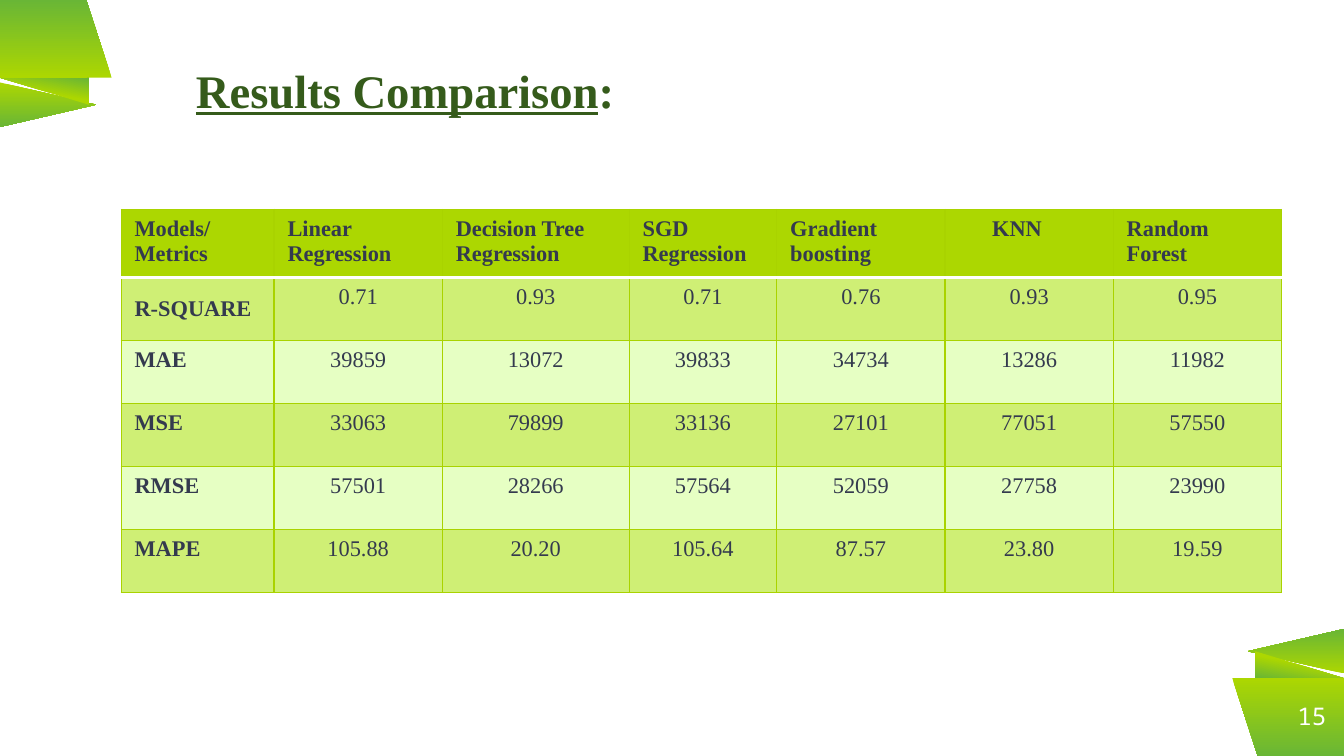
from dataclasses import dataclass

from lxml.etree import SubElement
from pptx import Presentation
from pptx.dml.color import RGBColor
from pptx.enum.shapes import MSO_SHAPE as Shape
from pptx.enum.text import MSO_ANCHOR as Anchor, PP_ALIGN as Align
from pptx.oxml.ns import qn
from pptx.util import Cm, Pt


@dataclass(frozen=True)
class Theme:
    lime: str = "ACD701"
    leaf: str = "69B636"
    heading: str = "355B1B"
    ink: str = "343A4E"
    white: str = "FFFFFF"
    grid: str = "A9D300"
    band_dark: str = "CFEF75"
    band_light: str = "E6FFC3"
    serif: str = "Times New Roman"
    mono: str = "Noto Sans Mono"
    title_size: int = 25
    number_size: int = 13
    cell_size: int = 12


THEME = Theme()
SLIDE_W, SLIDE_H = 25.4, 14.29
TABLE_TOP = 3.96
ROW_HEIGHTS = [1.29] + [1.19] * 5
METRICS_COLUMN = [2.89]
MODEL_COLUMNS = [3.18, 3.53, 2.79, 3.18, 3.18, 3.18]

METRICS = [["Models/\nMetrics"], ["R-SQUARE"], ["MAE"], ["MSE"], ["RMSE"], ["MAPE"]]
RESULTS = [
    ["Linear Regression", "Decision Tree Regression", "SGD Regression",
     "Gradient boosting", "KNN", "Random Forest"],
    ["0.71", "0.93", "0.71", "0.76", "0.93", "0.95"],
    ["39859", "13072", "39833", "34734", "13286", "11982"],
    ["33063", "79899", "33136", "27101", "77051", "57550"],
    ["57501", "28266", "57564", "52059", "27758", "23990"],
    ["105.88", "20.20", "105.64", "87.57", "23.80", "19.59"],
]

# Top-left ribbon: shape, left, top, width, height, rotation, gradient angle, lime stop
RIBBON = [
    (Shape.ISOSCELES_TRIANGLE, 0.49, 1.07, 0.84, 1.82, 90, 0, 0),
    (Shape.RIGHT_TRIANGLE, 0, 1.47, 1.68, 0.51, 180, 260, 0.47),
    (Shape.RECTANGLE, 0, 0, 1.65, 1.47, 0, 90, 0),
    (Shape.RIGHT_TRIANGLE, 1.63, 0, 0.48, 1.47, 0, 90, 0),
]


def add_text(paragraph, text, *, size, color, font=THEME.serif, bold=False,
             underline=False, align=Align.LEFT):
    paragraph.alignment = align
    run = paragraph.add_run()
    run.text = text
    run.font.size = Pt(size)
    run.font.name = font
    run.font.bold = bold
    run.font.underline = underline
    run.font.color.rgb = RGBColor.from_string(color)


def add_ribbon(slide, opposite=False):
    """Draw the corner ribbon, or its half-turn in the opposite corner."""
    for kind, left, top, width, height, rotation, angle, lime_stop in RIBBON:
        if opposite:
            left, top = SLIDE_W - left - width, SLIDE_H - top - height
            rotation = (rotation + 180) % 360
        fold = slide.shapes.add_shape(kind, Cm(left), Cm(top), Cm(width), Cm(height))
        fold.rotation = rotation
        fold.shadow.inherit = False
        fold.line.fill.background()
        fold.fill.gradient()
        fold.fill.gradient_angle = angle
        start, end = fold.fill.gradient_stops
        start.color.rgb = RGBColor.from_string(THEME.lime)
        start.position = lime_stop
        end.color.rgb = RGBColor.from_string(THEME.leaf)


def add_title(slide):
    title = slide.shapes.title
    title.left, title.top, title.width, title.height = Cm(3.45), Cm(1.04), Cm(17.75), Cm(5.44)
    title.text_frame.vertical_anchor = Anchor.TOP
    heading = title.text_frame.paragraphs[0]
    heading.space_before = Pt(6)
    for text, underline in (("Results Comparison", True), (":", False)):
        add_text(heading, text, size=THEME.title_size, color=THEME.heading,
                 bold=True, underline=underline)


def add_page_number(slide, number):
    box = slide.shapes.add_textbox(Cm(23.72), Cm(12.8), Cm(1.35), Cm(1.47))
    frame = box.text_frame
    frame.word_wrap = True
    frame.vertical_anchor = Anchor.MIDDLE
    frame.margin_left = frame.margin_right = frame.margin_top = frame.margin_bottom = 0
    add_text(frame.paragraphs[0], number, size=THEME.number_size, color=THEME.white,
             font=THEME.mono, align=Align.RIGHT)


def set_borders(cell, row):
    """Lime grid with a thick white rule below the header."""
    thin, rule = (THEME.grid, 0.75), (THEME.white, 2)
    sides = {"L": thin, "R": thin,
             "T": rule if row == 1 else thin,
             "B": rule if row == 0 else thin}
    properties = cell._tc.get_or_add_tcPr()
    for side, (color, width) in sides.items():
        line = SubElement(properties, qn(f"a:ln{side}"), w=str(int(Pt(width))))
        fill = SubElement(line, qn("a:solidFill"))
        SubElement(fill, qn("a:srgbClr"), val=color)


def fill_cell(cell, text, row, bold, align):
    set_borders(cell, row)
    band = THEME.band_dark if row % 2 else THEME.band_light
    cell.fill.solid()
    cell.fill.fore_color.rgb = RGBColor.from_string(THEME.lime if row == 0 else band)
    frame = cell.text_frame
    for index, line in enumerate(text.split("\n")):
        paragraph = frame.add_paragraph() if index else frame.paragraphs[0]
        add_text(paragraph, line, size=THEME.cell_size, color=THEME.ink,
                 bold=bold, align=align)


def add_grid(slide, rows, left, columns, bold_body, body_align):
    table = slide.shapes.add_table(
        len(rows), len(columns), Cm(left), Cm(TABLE_TOP),
        Cm(sum(columns)), Cm(sum(ROW_HEIGHTS))).table
    for column, width in zip(table.columns, columns):
        column.width = Cm(width)
    for table_row, height in zip(table.rows, ROW_HEIGHTS):
        table_row.height = Cm(height)
    for r, texts in enumerate(rows):
        for c, text in enumerate(texts):
            header = r == 0
            fill_cell(table.cell(r, c), text, r, header or bold_body,
                      Align.LEFT if header else body_align)
    return table


def main():
    deck = Presentation()
    deck.slide_width, deck.slide_height = Cm(SLIDE_W), Cm(SLIDE_H)
    slide = deck.slides.add_slide(deck.slide_layouts[5])

    # Corner ribbons
    add_ribbon(slide, opposite=True)
    add_ribbon(slide)

    # Page number and heading
    add_page_number(slide, "15")
    add_title(slide)

    # Scores per model, with the metric names beside them
    scores = add_grid(slide, RESULTS, 5.18, MODEL_COLUMNS, False, Align.CENTER)
    scores.cell(0, RESULTS[0].index("KNN")).margin_left = Cm(0.89)
    metrics = add_grid(slide, METRICS, 2.29, METRICS_COLUMN, True, Align.LEFT)
    metrics.cell(1, 0).text_frame.paragraphs[0].line_spacing = 1.5

    deck.save("out.pptx")


if __name__ == "__main__":
    main()
